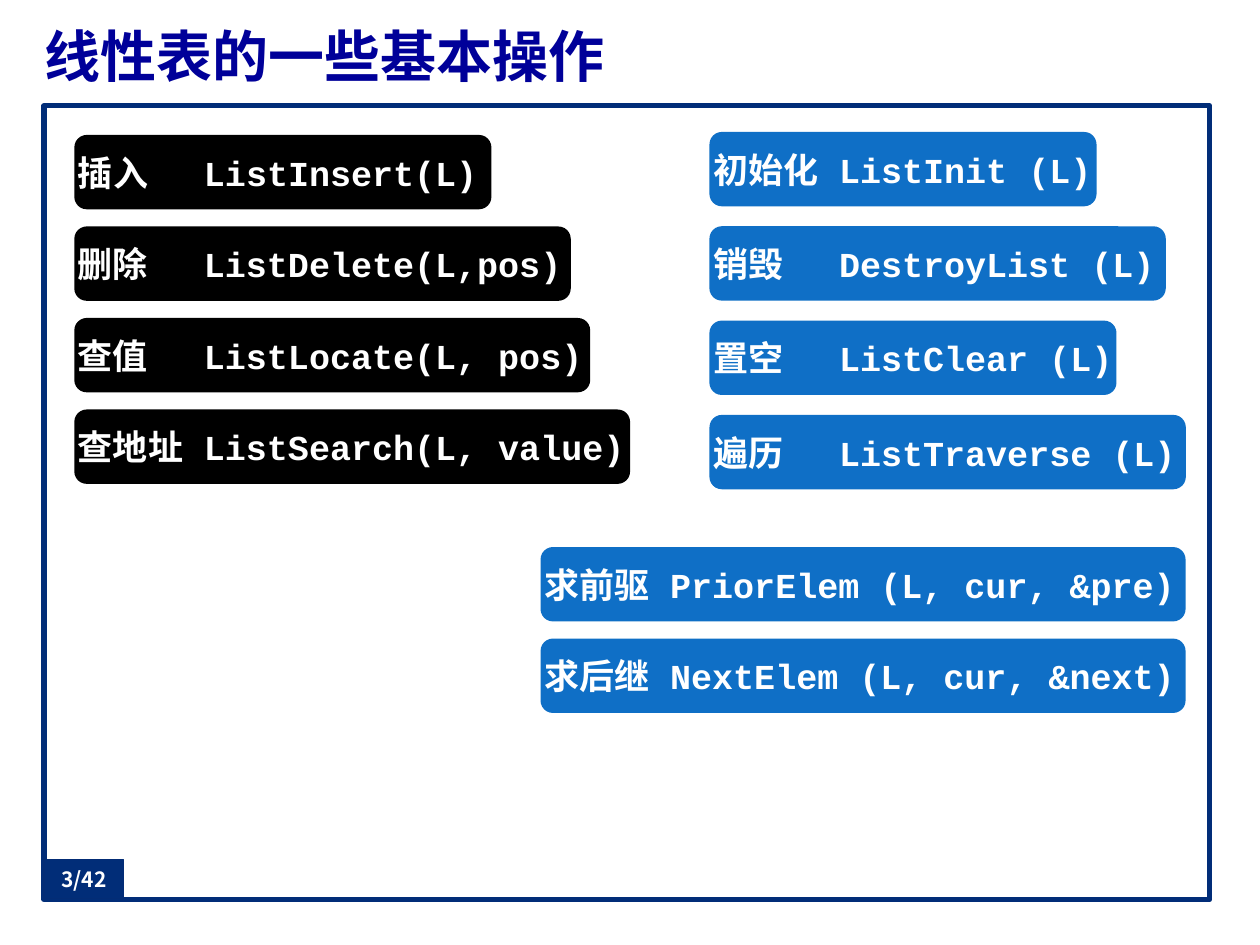
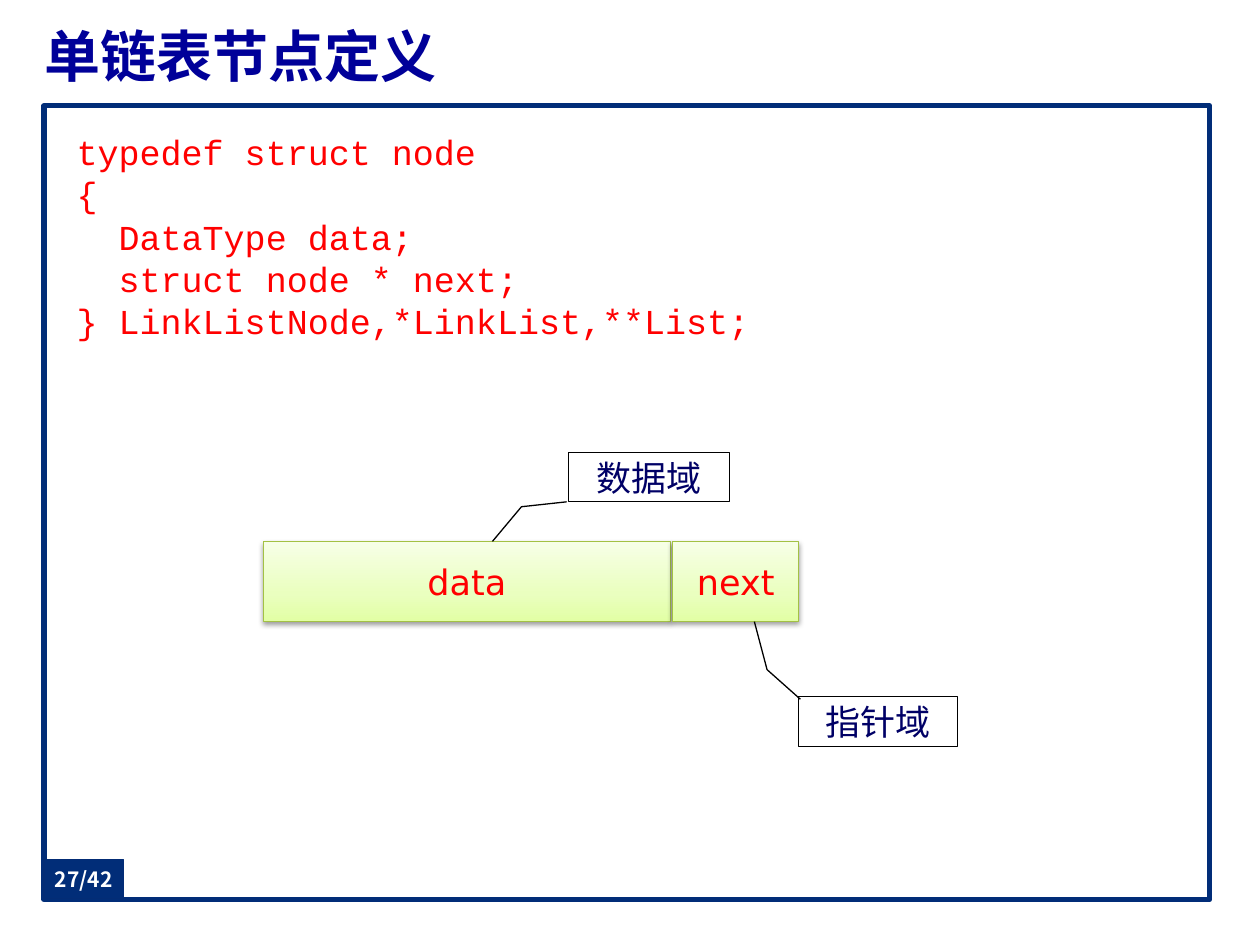
from copy import deepcopy

from lxml.etree import SubElement
from pptx import Presentation
from pptx.dml.color import RGBColor
from pptx.enum.shapes import MSO_SHAPE
from pptx.enum.text import MSO_ANCHOR, MSO_AUTO_SIZE, PP_ALIGN
from pptx.oxml.ns import qn
from pptx.util import Pt

COLORS = {
    "white": "FFFFFF", "black": "000000", "navy": "012D78", "badge_edge": "032C75",
    "title": "000099", "blue": "0F6FC6", "red": "FF0000", "label": "000066",
    "node_edge": "A3C144", "node_low": "E2FFA5", "node_mid": "EAFFBF", "node_top": "F7FFE7",
}
CJK_FONT = "Noto Sans CJK SC"
TEXT_STYLES = {
    "title": {"name": "Times New Roman", "size": Pt(32), "bold": True, "color": "title"},
    "operation": {"name": "Courier New", "size": Pt(20), "bold": True, "color": "white"},
    "code": {"name": "Courier New", "size": Pt(20), "bold": False, "color": "red"},
    "field": {"name": "DejaVu Sans", "size": Pt(20), "bold": False, "color": "red"},
    "label": {"name": CJK_FONT, "size": Pt(20), "bold": False, "color": "label"},
    "page": {"name": CJK_FONT, "size": Pt(12), "bold": True, "color": "white"},
}
FRAME_LEFT, FRAME_WIDTH = 25.2, 666
PAGE_TOTAL = 42


def rgb(color):
    return RGBColor.from_string(COLORS[color])


class Deck:
    def __init__(self):
        self.prs = Presentation()
        self.prs.slide_width, self.prs.slide_height = Pt(720), Pt(540)
        self.slide = None

    def set_text(self, shape, lines, style, align, inset=(0, 0), anchor=MSO_ANCHOR.MIDDLE,
                 pitch=None):
        """Fill a shape with one paragraph per line."""
        frame = shape.text_frame
        side, top = (Pt(value) for value in inset)
        settings = {"word_wrap": True, "auto_size": MSO_AUTO_SIZE.NONE, "vertical_anchor": anchor,
                    "margin_left": side, "margin_right": side,
                    "margin_top": top, "margin_bottom": top}
        for name, value in settings.items():
            setattr(frame, name, value)
        frame.text = "\n".join(lines)
        for paragraph in frame.paragraphs:
            paragraph.alignment = align
            if pitch:
                paragraph.line_spacing = Pt(pitch)
            font = paragraph.runs[0].font
            for name, value in TEXT_STYLES[style].items():
                if name == "color":
                    font.color.rgb = rgb(value)
                else:
                    setattr(font, name, value)
            properties = paragraph.runs[0]._r.get_or_add_rPr()
            SubElement(properties, qn("a:ea")).set("typeface", CJK_FONT)

    def shape(self, kind, box, fill=None, line=None, weight=0.75):
        shape = self.slide.shapes.add_shape(kind, *(Pt(value) for value in box))
        shape.shadow.inherit = False
        if fill:
            shape.fill.solid()
            shape.fill.fore_color.rgb = rgb(fill)
        else:
            shape.fill.background()
        if line:
            shape.line.color.rgb = rgb(line)
            shape.line.width = Pt(weight)
        else:
            shape.line.fill.background()
        return shape

    def new_slide(self, title, page):
        """Start a slide with its title, frame and page badge."""
        self.slide = self.prs.slides.add_slide(self.prs.slide_layouts[5])
        heading = self.slide.shapes.title
        place = {"left": FRAME_LEFT, "top": 9.4, "width": FRAME_WIDTH, "height": 44.6}
        for name, value in place.items():
            setattr(heading, name, Pt(value))
        self.set_text(heading, [title], "title", PP_ALIGN.JUSTIFY)
        self.shape(MSO_SHAPE.RECTANGLE, (FRAME_LEFT, 60.5, FRAME_WIDTH, 453.6),
                   "white", "navy", 3)
        badge = self.shape(MSO_SHAPE.RECTANGLE, (FRAME_LEFT, 491.2, 45.4, 22.3),
                           "navy", "badge_edge")
        self.set_text(badge, [f"{page}/{PAGE_TOTAL}"], "page", PP_ALIGN.CENTER)

    def operations(self, left, top, step, fill, align, rows):
        """Stack rounded bars: meaning, then function call after a tab."""
        for index, (meaning, call, width) in enumerate(rows):
            bar = self.shape(MSO_SHAPE.ROUNDED_RECTANGLE,
                             (left, top + index * step, width, 42.5), fill)
            self.set_text(bar, [f"{meaning}\t{call}"], "operation", align)

    def code(self, box, lines):
        listing = self.slide.shapes.add_textbox(*(Pt(value) for value in box))
        self.set_text(listing, lines, "code", PP_ALIGN.LEFT, (7.2, 3.6), MSO_ANCHOR.TOP, 24)

    def node_field(self, left, width, name):
        """Green gradient cell with a soft shadow below."""
        cell = self.shape(MSO_SHAPE.RECTANGLE, (left, 309.6, width, 45.4), line="node_edge")
        cell.fill.gradient()
        cell.fill.gradient_angle = 90
        stop_list = cell._element.spPr.find(qn("a:gradFill")).find(qn("a:gsLst"))
        stop_list.insert(1, deepcopy(stop_list[0]))
        stops = ((0, "node_low"), (0.35, "node_mid"), (1, "node_top"))
        for stop, (position, color) in zip(cell.fill.gradient_stops, stops):
            stop.position = position
            stop.color.rgb = rgb(color)
        effects = cell._element.spPr.find(qn("a:effectLst"))
        shadow = SubElement(effects, qn("a:outerShdw"), blurRad=str(Pt(3.1)),
                            dist=str(Pt(1.6)), dir="5400000", rotWithShape="0")
        tint = SubElement(shadow, qn("a:srgbClr"), val=COLORS["black"])
        SubElement(tint, qn("a:alpha"), val="38000")
        self.set_text(cell, [name], "field", PP_ALIGN.CENTER, (7.2, 0))

    def callout(self, box, leader, label):
        """Bordered label; leader lists y, x pairs relative to the box."""
        note = self.shape(MSO_SHAPE.LINE_CALLOUT_2, box, line="black")
        for index, value in enumerate(leader):
            note.adjustments[index] = value
        self.set_text(note, [label], "label", PP_ALIGN.CENTER, (7.2, 0))


def main():
    deck = Deck()

    # Basic list operations
    deck.new_slide("线性表的一些基本操作", 3)
    deck.operations(42.5, 77.1, 52.3, "black", PP_ALIGN.JUSTIFY, [
        ("插入", "ListInsert(L)", 238.3),
        ("删除", "ListDelete(L,pos)", 283.7),
        ("查值", "ListLocate(L, pos)", 294.8),
        ("查地址", "ListSearch(L, value)", 317.6),
    ])
    deck.operations(405.4, 75.4, 53.9, "blue", PP_ALIGN.LEFT, [
        ("初始化", "ListInit (L)", 221.2),
        ("销毁", "DestroyList (L)", 260.8),
        ("置空", "ListClear (L)", 232.6),
        ("遍历", "ListTraverse (L)", 272.2),
    ])
    deck.operations(308.9, 312.6, 52.3, "blue", PP_ALIGN.LEFT, [
        ("求前驱", "PriorElem (L, cur, &pre)", 368.6),
        ("求后继", "NextElem (L, cur, &next)", 368.6),
    ])

    # Node definition and its two fields
    deck.new_slide("单链表节点定义", 27)
    deck.code((36.7, 71.3, 436.3, 128.2), [
        "typedef struct node",
        "{",
        "  DataType data;",
        "  struct node * next;",
        "} LinkListNode,*LinkList,**List;",
    ])
    deck.node_field(150.5, 232.6, "data")
    deck.node_field(384.5, 72, "next")
    deck.callout((324.7, 258.5, 92.2, 28.3), (1, -0.01, 1.1, -0.29, 1.8, -0.47), "数据域")
    deck.callout((456.5, 398.2, 90.7, 28.3), (0.05, 0.01, -0.55, -0.2, -1.52, -0.28), "指针域")

    deck.prs.save("out.pptx")


if __name__ == "__main__":
    main()
